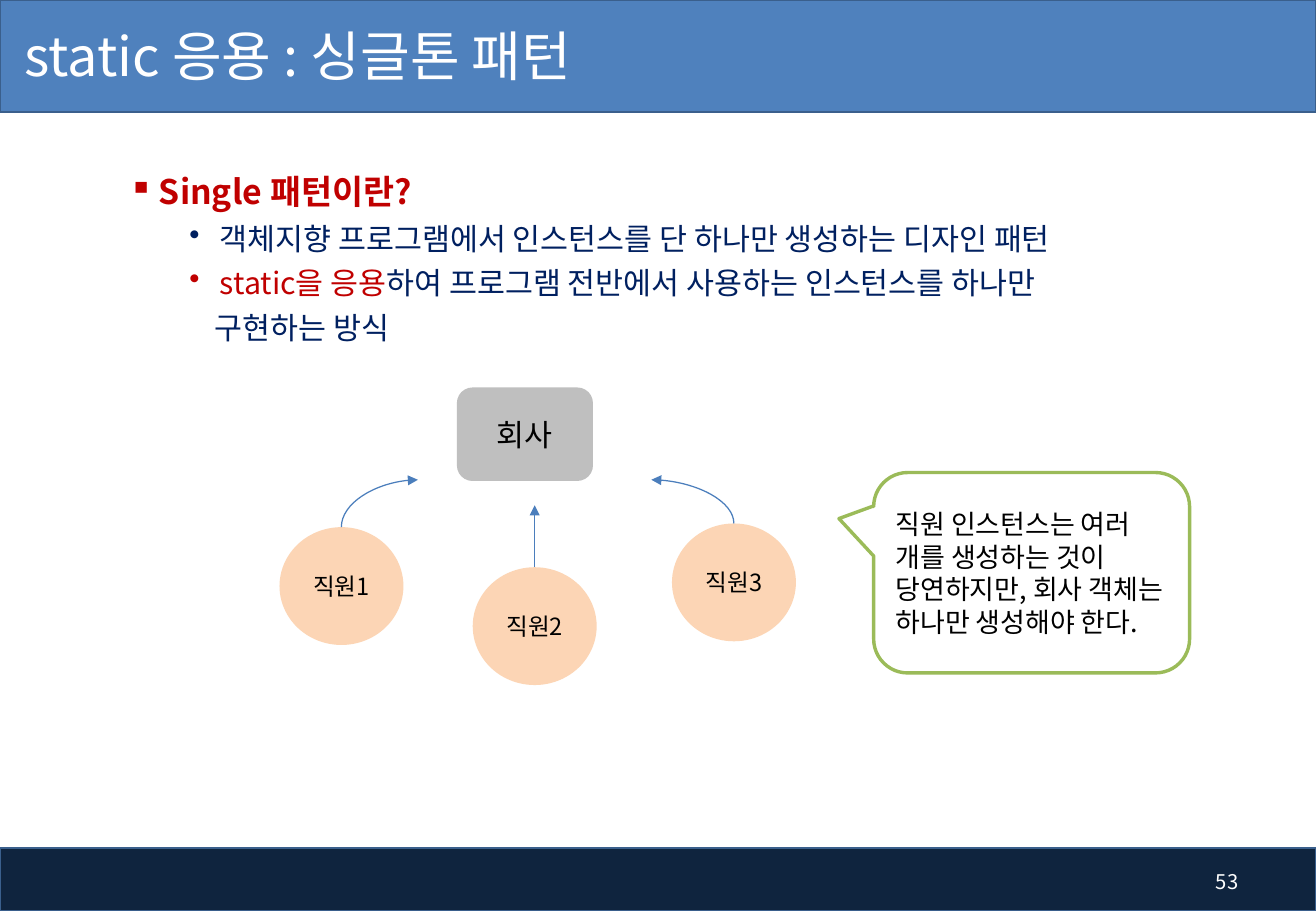
from lxml.etree import SubElement
from pptx import Presentation
from pptx.dml.color import RGBColor
from pptx.enum.shapes import MSO_CONNECTOR as CONN, MSO_SHAPE as SHAPE
from pptx.enum.text import MSO_ANCHOR as ANCHOR, PP_ALIGN as ALIGN
from pptx.oxml.ns import qn
from pptx.util import Inches, Pt

FONT = "Noto Sans CJK KR"
WHITE = RGBColor(0xFF, 0xFF, 0xFF)
BLACK = RGBColor(0x00, 0x00, 0x00)
BLUE = RGBColor(0x4F, 0x81, 0xBD)
DARK_BLUE = RGBColor(0x0F, 0x24, 0x3E)
EDGE_BLUE = RGBColor(0x3A, 0x5F, 0x8C)
ARROW_BLUE = RGBColor(0x4B, 0x7E, 0xBC)
NAVY = RGBColor(0x00, 0x20, 0x60)
RED = RGBColor(0xC0, 0x00, 0x00)
GRAY = RGBColor(0xBF, 0xBF, 0xBF)
PEACH = RGBColor(0xFC, 0xD5, 0xB5)
GREEN = RGBColor(0x9B, 0xBB, 0x59)

prs = Presentation()
prs.slide_width, prs.slide_height = Inches(10.83), Inches(7.5)
slide = prs.slides.add_slide(prs.slide_layouts[6])
shapes = slide.shapes


def add_text(p, text, size=18, color=BLACK, bold=False, align=ALIGN.LEFT):
    p.alignment = align
    r = p.add_run()
    r.text = text
    r.font.size, r.font.bold, r.font.name = Pt(size), bold, FONT
    r.font.color.rgb = color
    SubElement(r._r.get_or_add_rPr(), qn("a:ea"), typeface=FONT)


def add_box(kind, x, y, w, h, fill=None, line=None, line_width=1, anchor=ANCHOR.MIDDLE):
    box = (Inches(x), Inches(y), Inches(w), Inches(h))
    if kind is None:
        sp = shapes.add_textbox(*box)
    else:
        sp = shapes.add_shape(kind, *box)
        sp.shadow.inherit = False
        sp.fill.solid()
        sp.fill.fore_color.rgb = fill
        if line is None:
            sp.line.fill.background()
        else:
            sp.line.color.rgb = line
            sp.line.width = Pt(line_width)
    sp.text_frame.word_wrap = True
    sp.text_frame.vertical_anchor = anchor
    return sp


add_box(SHAPE.RECTANGLE, 0, 6.98, 10.83, 0.52, DARK_BLUE, EDGE_BLUE)
add_box(SHAPE.RECTANGLE, 0, 0, 10.83, 0.92, BLUE, EDGE_BLUE)

title = add_box(None, 0, -0.02, 6.78, 0.94).text_frame
title.margin_left = Inches(0.2)
add_text(title.paragraphs[0], "static 응용 : 싱글톤 패턴", size=32, color=WHITE)

number = add_box(None, 9.68, 7.06, 0.61, 0.4).text_frame
add_text(number.paragraphs[0], "53", size=12, color=WHITE, align=ALIGN.RIGHT)

body = add_box(None, 0.96, 1.19, 8.79, 1.93, anchor=ANCHOR.TOP).text_frame
lines = [
    ("▪", 0.25, 20, [("Single 패턴이란?", RED)]),
    ("•", 0.75, 18, [("객체지향 프로그램에서 인스턴스를 단 하나만 생성하는 디자인 패턴", NAVY)]),
    ("•", 0.75, 18, [("static을 응용", RED),
                     ("하여 프로그램 전반에서 사용하는 인스턴스를 하나만", NAVY)]),
    (None, 0.71, 18, [("구현하는 방식", NAVY)]),
]
for i, (bullet, indent, size, runs) in enumerate(lines):
    p = body.add_paragraph() if i else body.paragraphs[0]
    pPr = p._p.get_or_add_pPr()
    pPr.set("marL", str(Inches(indent)))
    if bullet:
        pPr.set("indent", str(Inches(-0.25)))
        SubElement(pPr, qn("a:buChar"), char=bullet)
    if i:
        p.level = 1
        p.space_before = Pt(5)
    else:
        p.line_spacing = 1.5
    for text, color in runs:
        add_text(p, text, size=size, color=color, bold=i == 0)

company = add_box(SHAPE.ROUNDED_RECTANGLE, 3.76, 3.19, 1.12, 0.77, GRAY)
add_text(company.text_frame.paragraphs[0], "회사", align=ALIGN.CENTER)

employees = [
    ("직원1", 2.3, 4.34, CONN.CURVE, 3.44, 3.95),
    ("직원2", 3.89, 4.67, CONN.STRAIGHT, 4.4, 4.16),
    ("직원3", 5.53, 4.31, CONN.CURVE, 5.36, 3.95),
]
for name, x, y, kind, tip_x, tip_y in employees:
    employee = add_box(SHAPE.OVAL, x, y, 1.02, 0.97, PEACH)
    add_text(employee.text_frame.paragraphs[0], name, size=14, align=ALIGN.CENTER)
    arrow = shapes.add_connector(kind, Inches(tip_x), Inches(tip_y),
                                 Inches(x + 0.51), Inches(y))
    arrow.line.color.rgb = ARROW_BLUE
    arrow.line.width = Pt(0.75)
    spPr = arrow._element.spPr
    SubElement(spPr.find(qn("a:ln")), qn("a:headEnd"), type="triangle")
    SubElement(spPr, qn("a:effectLst"))
    if kind == CONN.CURVE:
        spPr.find(qn("a:prstGeom")).set("prst", "curvedConnector2")
    else:
        arrow.end_connect(employee, 0)

callout = add_box(SHAPE.ROUNDED_RECTANGULAR_CALLOUT, 7.19, 3.89, 2.6, 1.65, WHITE, GREEN, 2)
for i, value in enumerate((-0.61, -0.27, 0.17)):
    callout.adjustments[i] = value
add_text(callout.text_frame.paragraphs[0],
         "직원 인스턴스는 여러 개를 생성하는 것이 당연하지만, 회사 객체는 하나만 생성해야 한다.",
         size=16)

prs.save("out.pptx")
